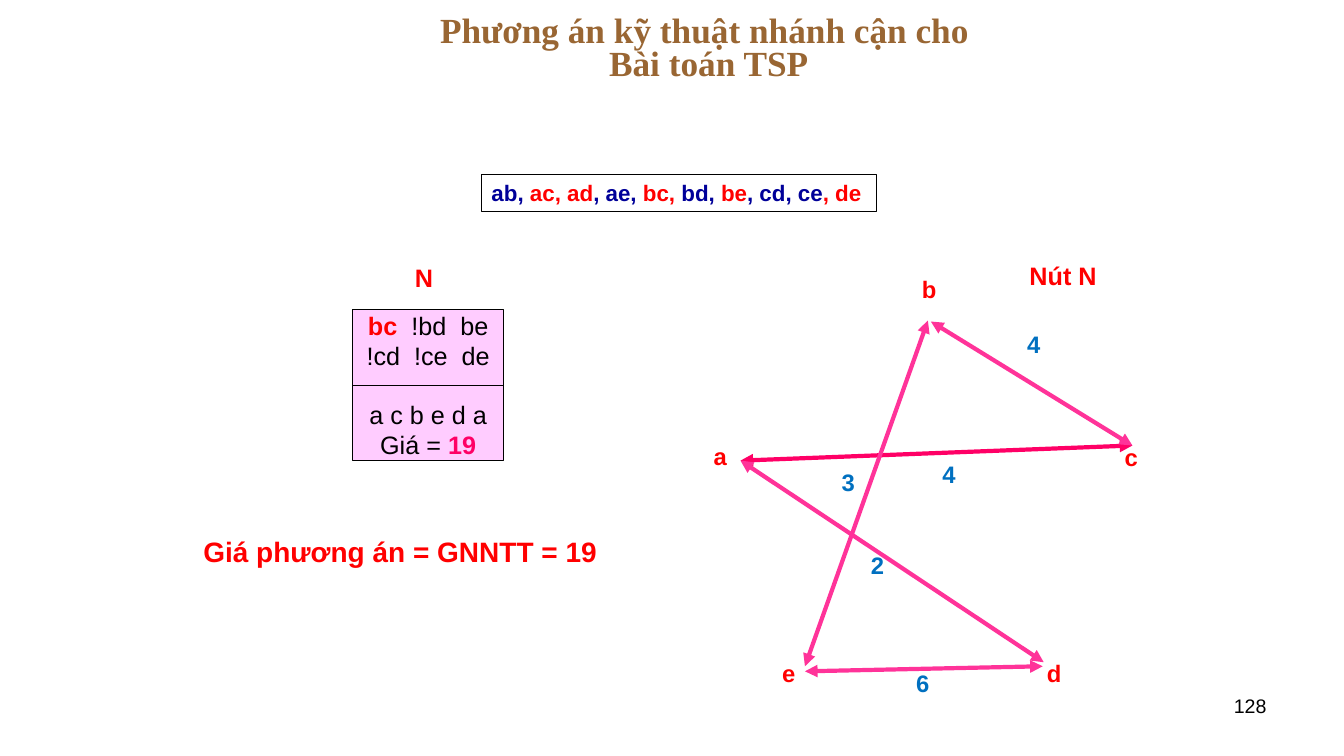
from lxml.etree import SubElement
from pptx import Presentation
from pptx.dml.color import RGBColor
from pptx.enum.shapes import MSO_CONNECTOR, MSO_SHAPE
from pptx.enum.text import MSO_ANCHOR, PP_ALIGN
from pptx.oxml.ns import qn
from pptx.util import Inches, Pt

COLORS = {
    "black": "000000", "red": "FF0000", "navy": "000099", "blue": "0070C0",
    "pink": "FF3399", "rose": "FF0066", "lilac": "FFCCFF", "brown": "996633",
}
CELL = Inches(0.1)
COLS, ROWS = 133.4, 75


def rgb(name):
    return RGBColor.from_string(COLORS[name])


def write(tf, paragraphs, size=18, color="black", bold=False, font="Arial",
          align=PP_ALIGN.LEFT, spacing=1.0, gaps=None, wrap=True, inset=True,
          anchor=MSO_ANCHOR.TOP):
    tf.word_wrap = wrap
    tf.vertical_anchor = anchor
    side, edge = (Inches(0.1), Inches(0.05)) if inset else (0, 0)
    tf.margin_left = tf.margin_right = side
    tf.margin_top = tf.margin_bottom = edge
    for i, runs in enumerate(paragraphs):
        p = tf.paragraphs[0] if i == 0 else tf.add_paragraph()
        p.alignment = align
        p.line_spacing = spacing
        if gaps and i in gaps:
            p.space_before = Pt(gaps[i])
        for run in [(runs,)] if isinstance(runs, str) else runs:
            text, run_color, run_bold = (*run, None, None)[:3]
            r = p.add_run()
            r.text = text
            r.font.name = font
            r.font.size = Pt(size)
            r.font.bold = bold if run_bold is None else run_bold
            r.font.color.rgb = rgb(run_color or color)


class Board:
    """Draws elements on one slide, measured in grid columns and rows."""

    def __init__(self, s):
        self.s = s

    def text(self, col, row, cols, rows, paragraphs, **fmt):
        sp = self.s.shapes.add_textbox(*(round(n * CELL) for n in (col, row, cols, rows)))
        write(sp.text_frame, paragraphs, **fmt)

    def label(self, col, row, letter, color):
        self.text(col, row, 1.4, 3.1, [letter], size=17, color=color, bold=True,
                  align=PP_ALIGN.CENTER, spacing=0.9, inset=False)

    def box(self, col, row, cols, rows, paragraphs, fill=None, **fmt):
        sp = self.s.shapes.add_shape(
            MSO_SHAPE.RECTANGLE, *(round(n * CELL) for n in (col, row, cols, rows)))
        sp.shadow.inherit = False
        if fill:
            sp.fill.solid()
            sp.fill.fore_color.rgb = rgb(fill)
        else:
            sp.fill.background()
        sp.line.color.rgb = rgb("black")
        sp.line.width = Pt(0.75)
        write(sp.text_frame, paragraphs, **fmt)
        return sp

    def line(self, start, end, color="black", width=0.75):
        c = self.s.shapes.add_connector(
            MSO_CONNECTOR.STRAIGHT, *(round(n * CELL) for n in (*start, *end)))
        c.line.color.rgb = rgb(color)
        c.line.width = Pt(width)
        SubElement(c._element.spPr, qn("a:effectLst"))
        return c

    def edge(self, start, end, color):
        ln = self.line(start, end, color, 3).line._get_or_add_ln()
        for tip in ("a:headEnd", "a:tailEnd"):
            SubElement(ln, qn(tip), type="triangle")

    def divider(self, sp):
        c = self.line((0, 0), (0, 0))
        c.begin_connect(sp, 1)
        c.end_connect(sp, 3)


def main():
    prs = Presentation()
    prs.slide_width, prs.slide_height = round(COLS * CELL), ROWS * CELL
    board = Board(prs.slides.add_slide(prs.slide_layouts[6]))

    board.text(29.1, 1.1, 82.5, 10.3,
               ["Phương án kỹ thuật nhánh cận cho ", "Bài toán TSP"],
               size=25.2, color="brown", bold=True, font="Times New Roman",
               align=PP_ALIGN.CENTER, spacing=0.8)
    board.box(47.8, 17.3, 39.2, 3.7, [[
        ("ab, ", "navy"), ("ac, ad", "red"), (", ae, ", "navy"), ("bc, ", "red"),
        ("bd,", "navy"), (" be", "red"), (", cd, ce", "navy"), (", de", "red"),
    ]], size=16, bold=True)

    node = board.box(35, 30.7, 15, 15, [
        [("bc", "red", True), ("  !bd  be",)],
        "!cd  !ce  de",
        "a c b e d a",
        [("Giá = ",), ("19", "rose", True)],
    ], fill="lilac", align=PP_ALIGN.CENTER, gaps={2: 20.7}, wrap=False,
        anchor=MSO_ANCHOR.MIDDLE)
    board.divider(node)

    for start, end, color in [
        ((73.5, 45.7), (112.4, 44.2), "rose"),
        ((79.9, 66.1), (92.1, 31.8), "pink"),
        ((73.5, 45.7), (103.6, 65.7), "pink"),
        ((92.4, 31.9), (112.4, 44.2), "pink"),
        ((79.9, 66.6), (103.5, 66.1), "pink"),
    ]:
        board.edge(start, end, color)

    vertices = [("a", 70.8, 44.1), ("b", 91.5, 27.6), ("c", 111.6, 44.2),
                ("d", 103.9, 65.7), ("e", 77.6, 65.7)]
    weights = [("2", 86.4, 55), ("4", 93.5, 45.9), ("6", 90.9, 66.7),
               ("4", 101.9, 33), ("3", 83.5, 46.7)]
    for labels, color in ((vertices, "red"), (weights, "blue")):
        for letter, col, row in labels:
            board.label(col, row, letter, color)

    for col, row, cols, rows, caption, size in [
        (101.2, 25.3, 9.5, 4, "Nút N", 18),
        (40.2, 25.5, 4.2, 4, "N", 18),
        (19.2, 52.5, 48, 4.4, "Giá phương án = GNNTT = 19", 20),
    ]:
        board.text(col, row, cols, rows, [caption], size=size, color="red", bold=True)

    board.text(95.6, 68.3, 31.1, 5.2, ["128"], size=14, align=PP_ALIGN.RIGHT)
    prs.save("out.pptx")


if __name__ == "__main__":
    main()
